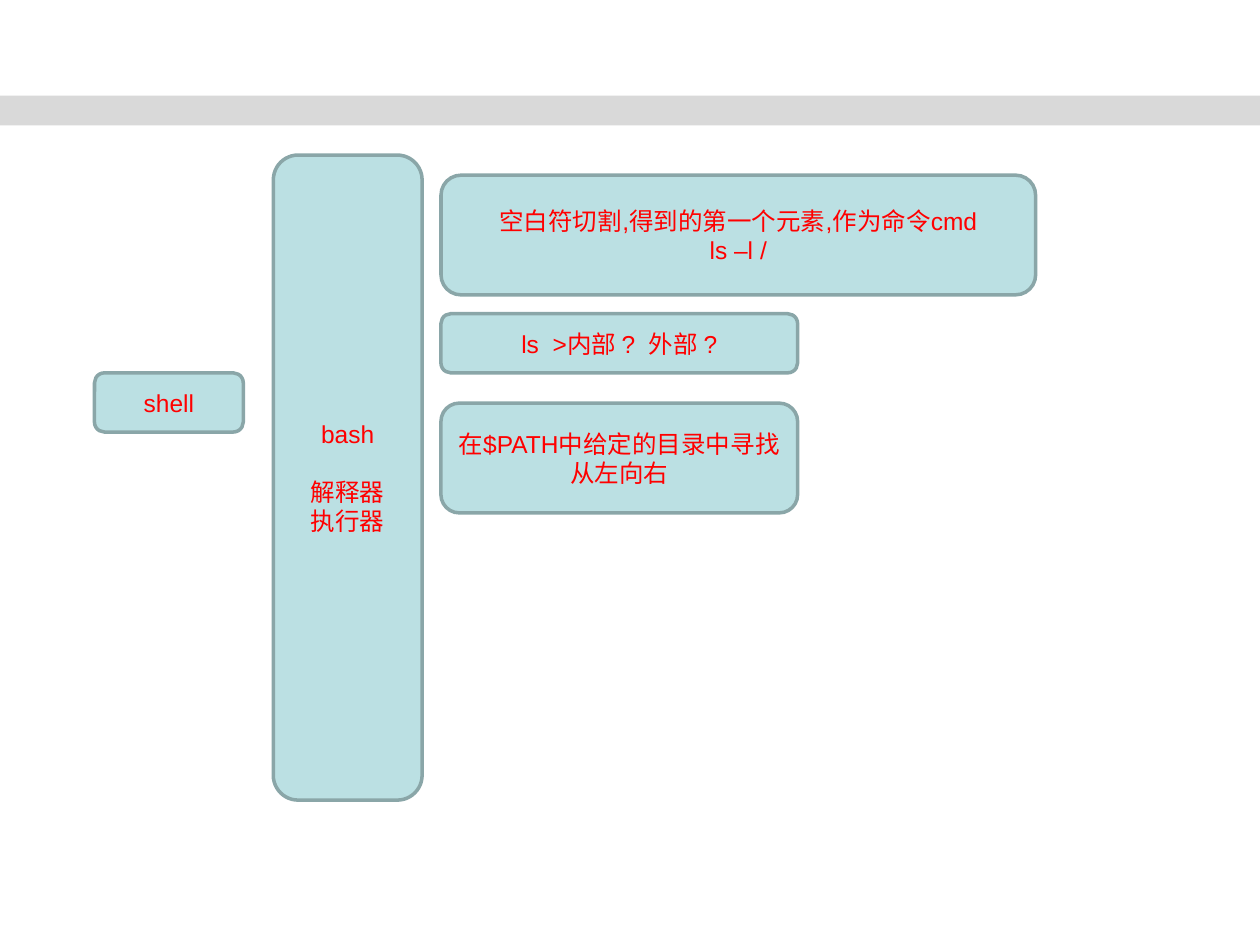
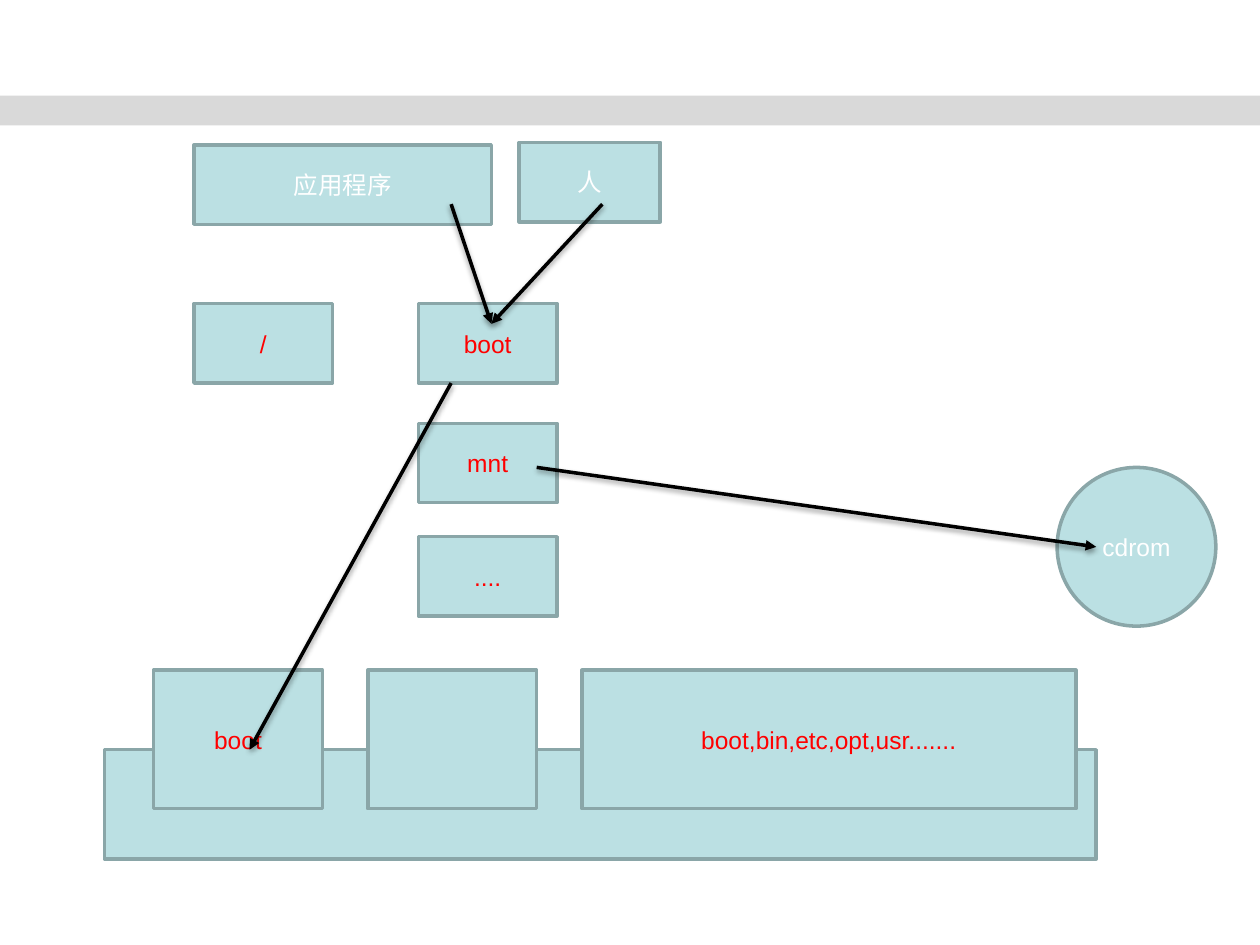
from pptx import Presentation
from pptx.dml.color import RGBColor
from pptx.enum.shapes import MSO_CONNECTOR, MSO_SHAPE
from pptx.enum.text import MSO_ANCHOR, PP_ALIGN
from pptx.oxml import parse_xml
from pptx.oxml.ns import nsdecls
from pptx.util import Pt

HUES = {
    "band": "D9D9D9",
    "fill": "BBE0E3",
    "edge": "8AA6A8",
    "red": "FF0000",
    "white": "FFFFFF",
    "black": "000000",
}
WIDTH, HEIGHT = 720, 540
FONT, SIZE = "Arial", 14
RECT, ROUND, OVAL = MSO_SHAPE.RECTANGLE, MSO_SHAPE.ROUNDED_RECTANGLE, MSO_SHAPE.OVAL


def hue(name):
    return RGBColor.from_string(HUES[name])


def block(slide, kind, box, lines=(), ink="red", gaps=None):
    shape = slide.shapes.add_shape(kind, *map(Pt, box))
    shape.shadow.inherit = False
    shape.fill.solid()
    shape.fill.fore_color.rgb = hue("fill")
    shape.line.color.rgb = hue("edge")
    shape.line.width = Pt(2)
    frame = shape.text_frame
    frame.word_wrap = True
    frame.vertical_anchor = MSO_ANCHOR.MIDDLE
    for row, line in enumerate(lines):
        para = frame.paragraphs[0] if row == 0 else frame.add_paragraph()
        para.alignment = PP_ALIGN.CENTER
        para.space_before = Pt((gaps or {}).get(row, 0))
        run = para.add_run()
        run.text = line
        run.font.name = FONT
        run.font.size = Pt(SIZE)
        run.font.color.rgb = hue(ink)
    return shape


def arrow(slide, start, end):
    link = slide.shapes.add_connector(MSO_CONNECTOR.STRAIGHT, *map(Pt, start + end))
    link.line.color.rgb = hue("black")
    link.line.width = Pt(2)
    props = link._element.spPr
    props.find("{*}ln").append(parse_xml(f'<a:tailEnd {nsdecls("a")} type="triangle"/>'))
    props.append(parse_xml(
        f'<a:effectLst {nsdecls("a")}>'
        f'<a:outerShdw blurRad="{Pt(3.1)}" dist="{Pt(1.6)}" dir="5400000" rotWithShape="0">'
        f'<a:srgbClr val="{HUES["black"]}"><a:alpha val="38000"/></a:srgbClr>'
        '</a:outerShdw></a:effectLst>'))


def page(deck):
    slide = deck.slides.add_slide(deck.slide_layouts[6])
    band = slide.shapes.add_shape(RECT, 0, Pt(54.7), Pt(WIDTH), Pt(17))
    band.shadow.inherit = False
    band.fill.solid()
    band.fill.fore_color.rgb = hue("band")
    band.line.fill.background()
    return slide


def shell(slide, box):
    left, top, wide, tall = box
    block(slide, ROUND, (left, top + 124.5, wide, 33.8), ["shell"])
    block(slide, ROUND, (left + 102.2, top, wide, tall),
          ["bash", "解释器", "执行器"], gaps={1: 16})


def steps(slide, box):
    left, top, wide, thin = box
    parts = [
        (0, wide, 68.4, ["空白符切割,得到的第一个元素,作为命令cmd", "ls –l /"]),
        (79.2, thin, 33.8, ["ls  >内部 ?  外部 ?"]),
        (130.3, thin, 62.7, ["在$PATH中给定的目录中寻找", "从左向右"]),
    ]
    for down, span, tall, lines in parts:
        block(slide, ROUND, (left, top + down, span, tall), lines)


def tree(slide, box):
    left, top, wide, tall = box
    nodes = [(0, 0, "/"), (128.2, 0, "boot"), (128.2, 68.4, "mnt"), (128.2, 133.2, "....")]
    for right, down, name in nodes:
        block(slide, RECT, (left + right, top + down, wide, tall), [name])


def disk(slide, box):
    left, top, wide, tall = box
    block(slide, RECT, box)
    spot, gap = left + 28, 25.9
    for span, name in [(96.5, "boot"), (96.5, ""), (282.2, "boot,bin,etc,opt,usr.......")]:
        block(slide, RECT, (spot, top - 45.4, span, 79.2), [name] if name else [])
        spot += span + gap


def users(slide, box):
    left, top, wide, tall = box
    block(slide, RECT, (left, top + 1.4, 169.9, tall), ["应用程序"], "white")
    block(slide, RECT, (left + wide - 80.6, top, 80.6, tall), ["人"], "white")
    goal = (left + 169.9, top + 103.7)
    for right in (233.3, 146.9):
        arrow(slide, (left + right, top + 35.3), goal)


def main():
    deck = Presentation()
    deck.slide_width, deck.slide_height = Pt(WIDTH), Pt(HEIGHT)

    slide = page(deck)
    shell(slide, (54, 88.6, 85, 368.6))
    steps(slide, (252, 100.1, 339.8, 203.8))

    slide = page(deck)
    tree(slide, (110.9, 173.5, 79.2, 45.4))
    disk(slide, (59.8, 428.4, 566.6, 62.6))
    arrow(slide, (257.8, 218.9), (142.6, 428.4))
    block(slide, OVAL, (604.1, 267.1, 90.7, 90.7), ["cdrom"], "white")
    arrow(slide, (306.7, 267.1), (626.4, 312.5))
    users(slide, (110.9, 81.4, 266.4, 45.4))

    deck.save("out.pptx")


if __name__ == "__main__":
    main()
